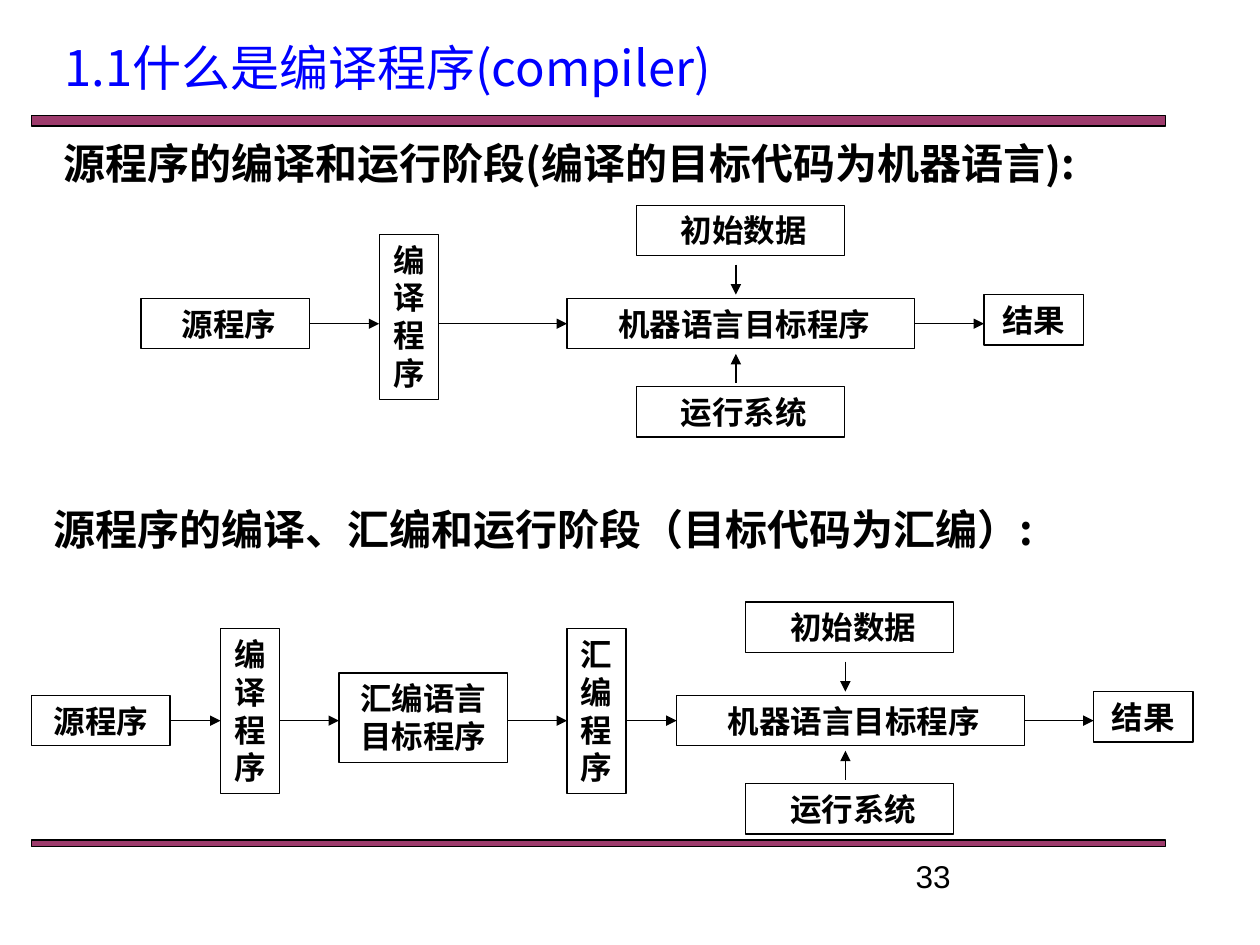
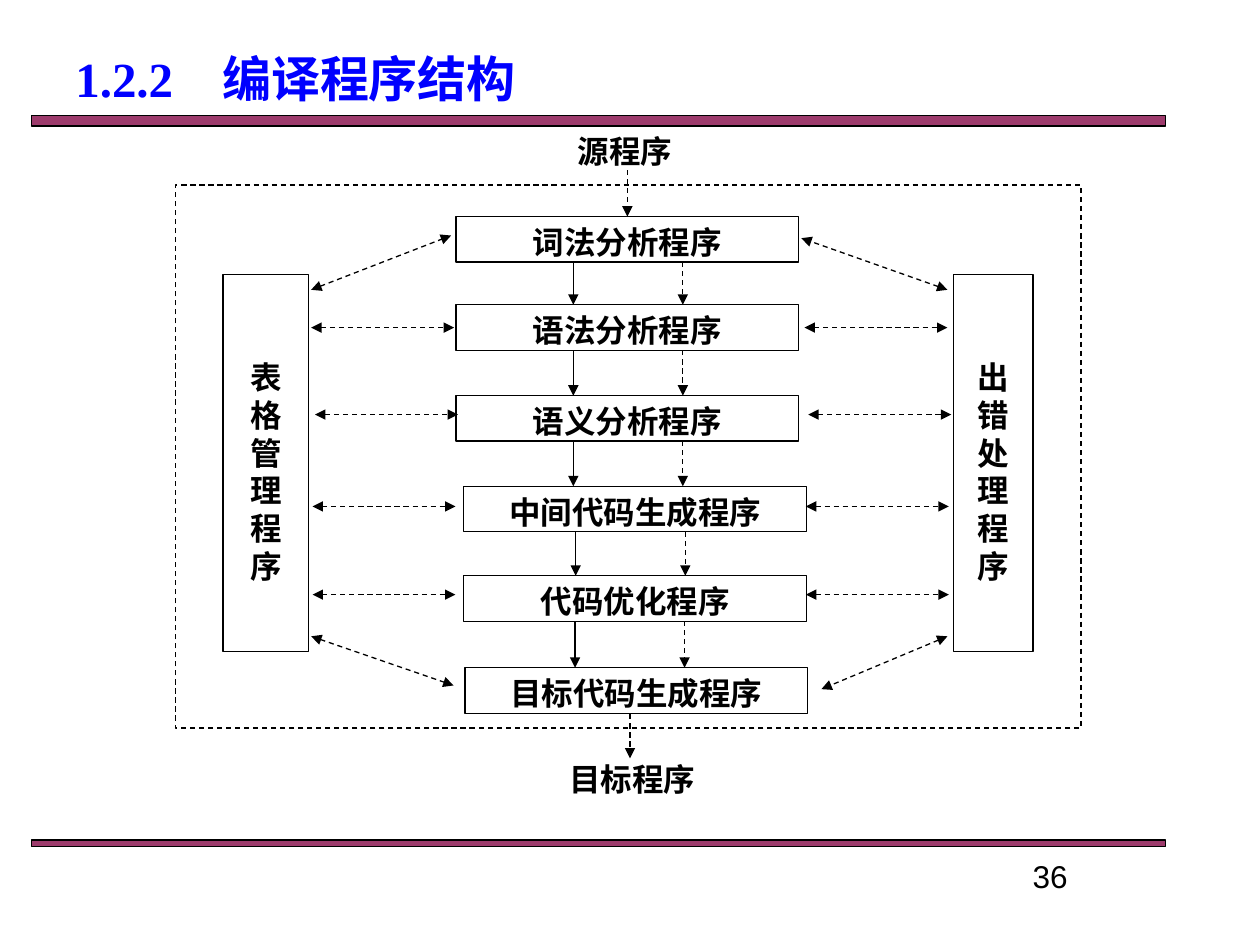
from itertools import pairwise

from lxml import etree
from pptx import Presentation
from pptx.dml.color import RGBColor
from pptx.enum import dml, shapes, text
from pptx.oxml import ns
from pptx.util import Pt

COLORS = {"black": "000000", "blue": "0000FF", "band": "993366", "white": "FFFFFF"}
SANS = "Noto Sans CJK SC"
SERIF = "Times New Roman"
LINE_HEIGHT = 1.2
RIGHT = 3
LEFT = 1
TOP = 0


def rgb(name):
    return RGBColor.from_string(COLORS[name])


class Deck:
    def __init__(self):
        self.presentation = Presentation()
        self.presentation.slide_width = Pt(720)
        self.presentation.slide_height = Pt(540)
        self.slide = None

    def new_slide(self, number, align):
        self.slide = self.presentation.slides.add_slide(self.presentation.slide_layouts[6])
        for top, height in ((66, 6), (480, 3.8)):
            band = self.box("", 18, top, 648, height, fill="band")
            color = band._element.spPr.find(ns.qn("a:solidFill"))[0]
            etree.SubElement(color, ns.qn("a:alpha"), val="96000")
        self.label(number, 516.2, 486, 167.8, 30, font="Arial", bold=False, align=align)

    def set_text(self, shape, content, size, font, bold, color, align, indent=0, top_inset=3.6):
        frame = shape.text_frame
        frame.word_wrap = True
        frame.vertical_anchor = text.MSO_ANCHOR.TOP
        frame.margin_left = Pt(7.2 + indent)
        frame.margin_top = Pt(top_inset)
        paragraph = frame.paragraphs[0]
        paragraph.text = content
        paragraph.alignment = align
        paragraph.line_spacing = Pt(size * LINE_HEIGHT)
        paragraph.font.name = font
        paragraph.font.size = Pt(size)
        paragraph.font.bold = bold
        paragraph.font.color.rgb = rgb(color)
        defaults = paragraph._p.get_or_add_pPr().find(ns.qn("a:defRPr"))
        etree.SubElement(defaults, ns.qn("a:ea"), typeface=SANS)

    def label(self, content, left, top, width, height, size=18, font=SANS, bold=True,
              color="black", align=text.PP_ALIGN.LEFT):
        shape = self.slide.shapes.add_textbox(Pt(left), Pt(top), Pt(width), Pt(height))
        self.set_text(shape, content, size, font, bold, color, align)

    def box(self, content, left, top, width, height, fill=None, font=SANS, dashed=False,
            indent=0, top_inset=3.6):
        shape = self.slide.shapes.add_shape(
            shapes.MSO_SHAPE.RECTANGLE, Pt(left), Pt(top), Pt(width), Pt(height))
        shape.shadow.inherit = False
        if fill:
            shape.fill.solid()
            shape.fill.fore_color.rgb = rgb(fill)
        else:
            shape.fill.background()
        self.outline(shape.line, dashed)
        if content:
            self.set_text(shape, content, 18, font, True, "black", text.PP_ALIGN.CENTER,
                          indent, top_inset)
        return shape

    def outline(self, line, dashed):
        line.color.rgb = rgb("black")
        line.width = Pt(0.75)
        if dashed:
            line.dash_style = dml.MSO_LINE.DASH

    def arrow(self, x1, y1, x2, y2, dashed=False, both=False, begin=None, end=None):
        connector = self.slide.shapes.add_connector(
            shapes.MSO_CONNECTOR.STRAIGHT, Pt(x1), Pt(y1), Pt(x2), Pt(y2))
        if begin:
            connector.begin_connect(*begin)
        if end:
            connector.end_connect(*end)
        self.outline(connector.line, dashed)
        properties = connector._element.spPr
        line = properties.find(ns.qn("a:ln"))
        for tag in ("a:headEnd", "a:tailEnd") if both else ("a:tailEnd",):
            etree.SubElement(line, ns.qn(tag), type="triangle")
        etree.SubElement(properties, ns.qn("a:effectLst"))


def run_stage(deck, left, axis):
    machine = deck.box("机器语言目标程序", left, axis - 14.4, 198.7, 28.8, indent=4)
    result_left = left + 238.3
    deck.box("结果", result_left, axis - 16.6, 56.9, 28.8)
    for name, offset in (("初始数据", -67.7), ("运行系统", 36)):
        deck.box(name, left + 39.6, axis + offset, 118.8, 28.8, indent=4)
    deck.arrow(left + 198.7, axis, result_left, axis, begin=(machine, RIGHT))
    middle = left + 96.5
    deck.arrow(middle, axis - 33.8, middle, axis - 16.6)
    deck.arrow(middle, axis + 33.8, middle, axis + 17.2)
    return machine


def compile_phases(deck):
    deck.new_slide("33", text.PP_ALIGN.LEFT)
    deck.label("1.1什么是编译程序(compiler)", 30, 18, 648, 60, 28, bold=False, color="blue")
    deck.label("源程序的编译和运行阶段(编译的目标代码为机器语言):", 29.2, 75, 649, 36, 24)
    deck.label("源程序的编译、汇编和运行阶段（目标代码为汇编）:", 23.4, 284.4, 655, 36, 24)

    axis = 185
    source = deck.box("源程序", 80.6, axis - 14.4, 96.5, 28.8, indent=4)
    deck.box("编译程序", 216.7, 133.9, 33.8, 94.3)
    machine = run_stage(deck, 324, axis)
    deck.arrow(177.1, axis, 216.7, axis, begin=(source, RIGHT))
    deck.arrow(250.5, axis, 324, axis, end=(machine, LEFT))

    axis = 411.8
    source = deck.box("源程序", 18, axis - 14.4, 79.2, 28.8)
    for name, left in (("编译程序", 126), ("汇编程序", 324)):
        deck.box(name, left, 359.3, 33.8, 94.3)
    deck.box("汇编语言目标程序", 193.7, 384.5, 96.5, 51.1)
    machine = run_stage(deck, 386.6, axis)
    deck.arrow(97.2, axis, 126, axis, begin=(source, RIGHT))
    deck.arrow(159.8, axis, 193.7, axis)
    deck.arrow(290.2, axis, 324, axis)
    deck.arrow(357.8, axis, 386.6, axis, end=(machine, LEFT))


def compiler_structure(deck):
    deck.new_slide("36", text.PP_ALIGN.CENTER)
    deck.label("1.2.2　编译程序结构", 36, 24.5, 341.3, 30, 28, SERIF, color="blue")
    for name, left, top in (("源程序", 259.2, 72), ("目标程序", 263.5, 430.6)):
        deck.label(name, left, top, 195.8, 26, font=SERIF, align=text.PP_ALIGN.CENTER)

    height = 26
    stages = [
        ("词法分析程序", 260.6, 123.8, 327.6),
        ("语法分析程序", 260.6, 174.2, 327.6),
        ("语义分析程序", 260.6, 226.1, 327.6),
        ("中间代码生成程序", 265, 277.9, 329),
        ("代码优化程序", 265, 329, 328.6),
        ("目标代码生成程序", 265.7, 381.6, None),
    ]
    boxes = [deck.box(name, left, top, 195.8, height, "white", SERIF)
             for name, left, top, _ in stages]
    for name, left, width in (("表格管理程序", 127.4, 49), ("出错处理程序", 545, 45.4)):
        deck.box(name, left, 157, width, 215.3, "white", SERIF, top_inset=47.6)

    deck.arrow(358.5, 97.2, 358.5, 123.8, dashed=True, end=(boxes[0], TOP))
    deck.arrow(360, 408.2, 360, 433.4, dashed=True)
    for (_, _, top, x), (_, _, next_top, _) in pairwise(stages):
        deck.arrow(x, top + height, x, next_top)
        deck.arrow(x + 62.6, top + height, x + 62.6, next_top, dashed=True)

    for start, y in ((177.8, 187.2), (180, 236.9), (178.6, 289.4), (178.6, 339.8)):
        for x in (start, start + 281.9):
            deck.arrow(x, y, x + 81.7, y, dashed=True, both=True)
    for ends in ((177.8, 165.6, 257.8, 134.6), (177.8, 363.6, 259.2, 391.7),
                 (541.4, 165.6, 457.9, 136.1), (541.4, 363.6, 469.4, 393.8)):
        deck.arrow(*ends, dashed=True, both=True)
    deck.box("", 100.1, 105.8, 517.7, 310.3, dashed=True)


def main():
    deck = Deck()
    compile_phases(deck)
    compiler_structure(deck)
    deck.presentation.save("out.pptx")


if __name__ == "__main__":
    main()
